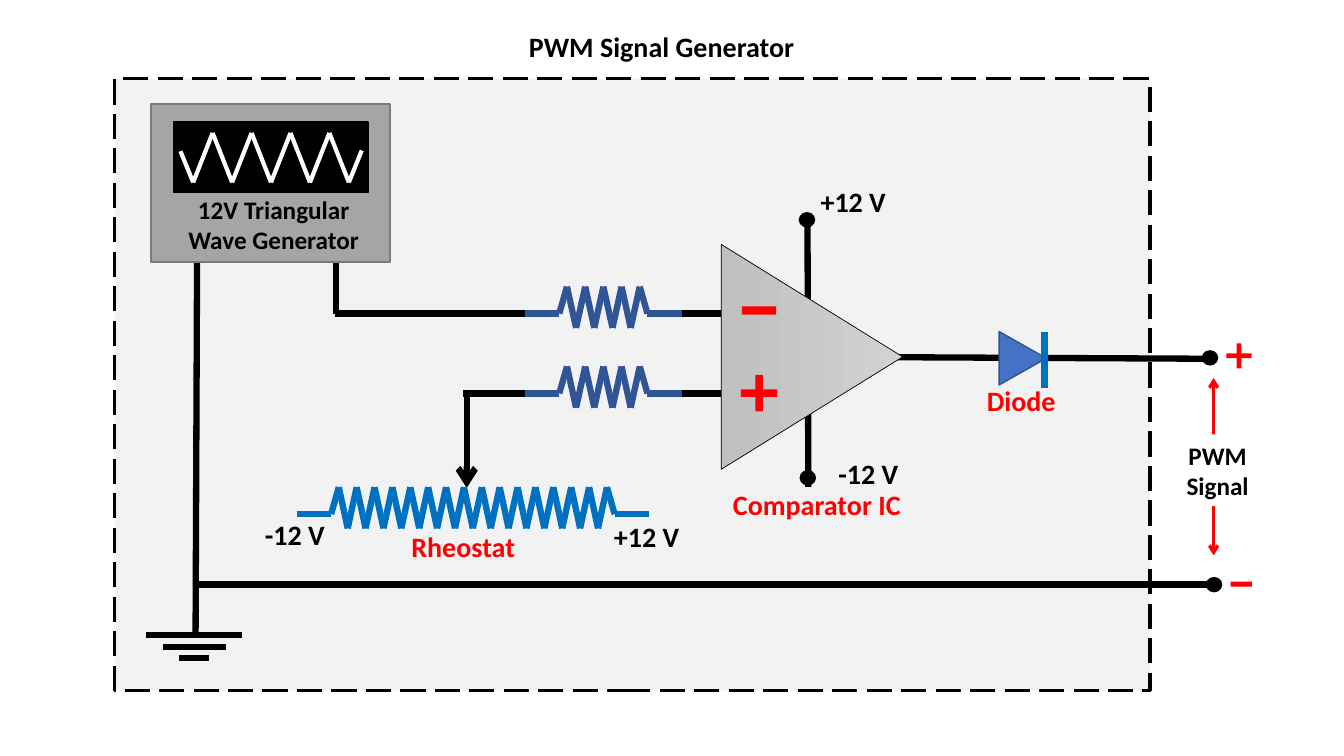
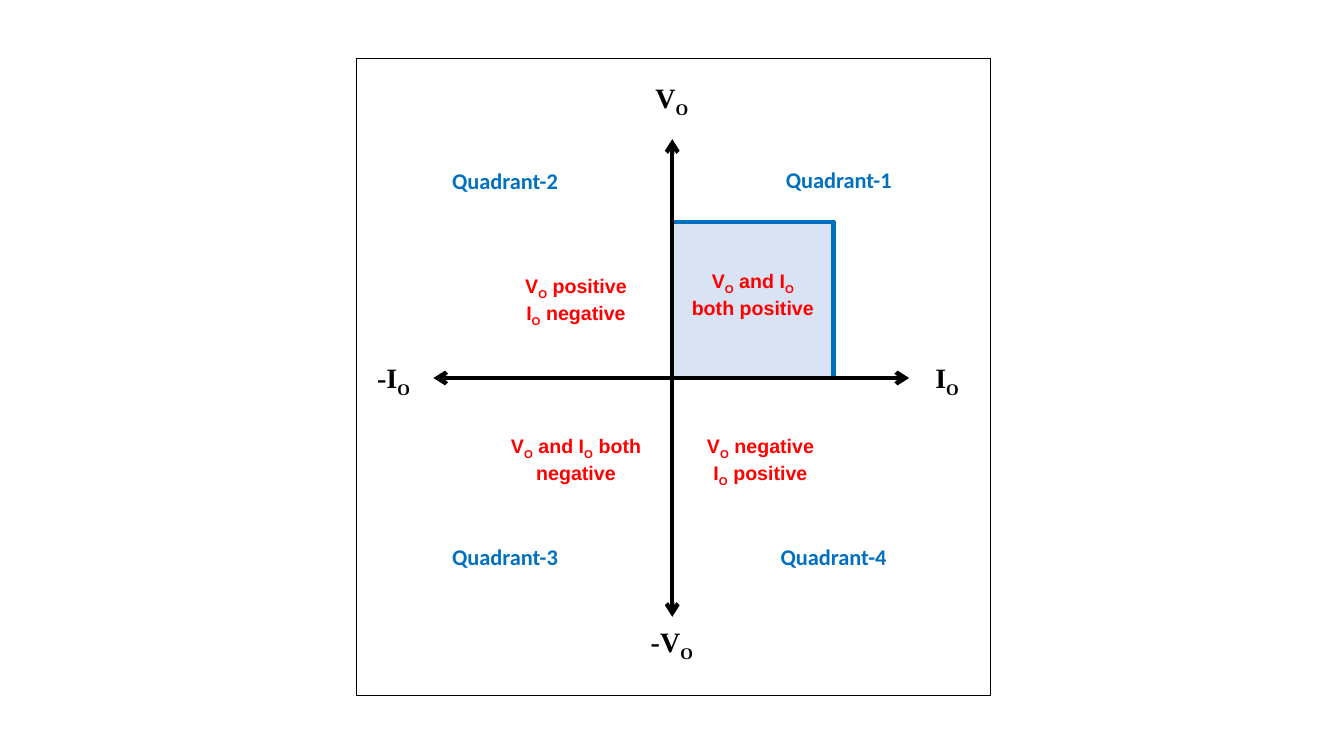
from itertools import pairwise
from lxml.etree import SubElement
from pptx import Presentation
from pptx.dml.color import RGBColor
from pptx.enum.dml import MSO_LINE
from pptx.enum.shapes import MSO_CONNECTOR, MSO_SHAPE
from pptx.enum.text import MSO_ANCHOR, MSO_AUTO_SIZE, PP_ALIGN
from pptx.oxml.ns import qn
from pptx.util import Pt

BLACK, WHITE, RED = "000000", "FFFFFF", "FF0000"
BLUE, RESISTOR_BLUE = "0070C0", "2F5597"
LABEL_FONT, AXIS_FONT, NOTE_FONT = "Calibri", "Times New Roman", "Arial"
WIRE, WAVE, AXIS, SPAN = 4.5, 3, 3, 2.25


def rgb(color):
    return RGBColor.from_string(color)


def write(frame, lines, size, color=BLACK, font=LABEL_FONT, anchor=MSO_ANCHOR.TOP):
    frame.word_wrap = True
    frame.auto_size = MSO_AUTO_SIZE.SHAPE_TO_FIT_TEXT
    frame.vertical_anchor = anchor
    for index, line in enumerate(lines.split("\n")):
        paragraph = frame.add_paragraph() if index else frame.paragraphs[0]
        paragraph.alignment = PP_ALIGN.CENTER
        for position, piece in enumerate(line.split("|")):
            if not piece:
                continue
            run = paragraph.add_run()
            run.text = piece
            run.font.name, run.font.size, run.font.bold = font, Pt(size), True
            run.font.color.rgb = rgb(color)
            if position % 2:
                run._r.get_or_add_rPr().set("baseline", "-25000")


def add_label(slide, lines, left, top, width, height, size=20, color=BLACK, font=LABEL_FONT):
    box = slide.shapes.add_textbox(Pt(left), Pt(top), Pt(width), Pt(height))
    write(box.text_frame, lines, size, color, font)


def add_title(slide, wording, left, top, width, height):
    title = slide.shapes.title
    title.left, title.top, title.width, title.height = Pt(left), Pt(top), Pt(width), Pt(height)
    write(title.text_frame, wording, 20)


def add_block(slide, left, top, width, height, fill=None, line=None, weight=1,
              kind=MSO_SHAPE.RECTANGLE, rotation=0):
    block = slide.shapes.add_shape(kind, Pt(left), Pt(top), Pt(width), Pt(height))
    block.shadow.inherit = False
    block.rotation = rotation
    if fill:
        block.fill.solid()
        block.fill.fore_color.rgb = rgb(fill)
    else:
        block.fill.background()
    if line:
        block.line.color.rgb = rgb(line)
        block.line.width = Pt(weight)
    else:
        block.line.fill.background()
    return block


def add_line(slide, start, end, color=BLACK, weight=WIRE, arrows=()):
    line = slide.shapes.add_connector(MSO_CONNECTOR.STRAIGHT, *map(Pt, start + end))
    line.line.color.rgb = rgb(color)
    line.line.width = Pt(weight)
    outline = line.line._get_or_add_ln()
    for arrow in arrows:
        SubElement(outline, qn(f"a:{arrow}End")).set("type", "arrow")
    SubElement(line._element.spPr, qn("a:effectLst"))


def add_path(slide, points, color=BLACK, weight=WIRE):
    for start, end in pairwise(points):
        add_line(slide, start, end, color, weight)


def add_coil(slide, left, y, peaks, pitch, color):
    lead, slope = 24.5, 5.5
    first = left + lead + slope
    last = first + (peaks - 1) * pitch
    teeth = [(first + step * pitch / 2, y + (10.2 if step % 2 else -19.2))
             for step in range(2 * peaks - 1)]
    add_path(slide, [(left, y), (left + lead, y), *teeth,
                     (last + slope, y), (last + slope + lead, y)], color)


def add_terminal(slide, x, y):
    add_block(slide, x - 5.4, y - 5, 10.8, 10, BLACK, BLACK, kind=MSO_SHAPE.OVAL)


def add_sign(slide, x, y, length, thickness, plus=False):
    add_block(slide, x - length / 2, y - thickness / 2, length, thickness, RED)
    if plus:
        add_block(slide, x - thickness / 2, y - length / 2, thickness, length, RED)


def add_comparator(slide):
    body = add_block(slide, 499.7, 190.1, 160.6, 129.6, WHITE, BLACK, 0.5,
                     MSO_SHAPE.ISOSCELES_TRIANGLE, 90)
    body.fill.gradient()
    body.fill.gradient_angle = 270
    for stop, color in zip(body.fill.gradient_stops, ("D2D2D2", "C0C0C0")):
        stop.color.rgb = rgb(color)
    add_sign(slide, 542.2, 280.8, 26, 5.4, plus=True)
    add_sign(slide, 542.2, 221.8, 24.5, 5.8)


def add_ground(slide):
    add_line(slide, (141, 128), (139.7, 453.6))
    for y, half in ((453.6, 34.2), (462.2, 22.7), (470.2, 10.8)):
        add_line(slide, (138.8 - half, y), (138.8 + half, y))


def add_wave_generator(slide):
    add_block(slide, 108, 74.2, 170.6, 113, "A5A5A5", "7A7A7A")
    add_block(slide, 123.8, 87.1, 139, 50.4, BLACK, BLACK)
    wave = [(138 + 13.9 * step, 95 if step % 2 else 130.3) for step in range(9)]
    add_path(slide, [(128.9, 108), *wave, (258.4, 107.5)], WHITE, WAVE)
    add_label(slide, "12V Triangular Wave Generator", 126, 135.4, 139, 51, 18)


def add_diode(slide):
    add_block(slide, 711.4, 239, 38.2, 33.8, "4472C4", "325491",
              kind=MSO_SHAPE.ISOSCELES_TRIANGLE, rotation=90)
    add_line(slide, (746, 237), (746, 277.2), BLUE)


def build_pwm_generator(slide):
    enclosure = add_block(slide, 82, 56.2, 739.5, 437, "F2F2F2", BLACK, 2.25)
    enclosure.line.dash_style = MSO_LINE.LONG_DASH
    add_line(slide, (576.8, 160), (577.4, 347.8))
    add_line(slide, (604, 255), (869, 256.3))
    for lead_start, y in ((239, 224), (330.5, 281)):
        add_line(slide, (lead_start, y), (386, y))
        add_line(slide, (485, y), (551, y))
        add_coil(slide, 375, y, 5, 13, RESISTOR_BLUE)
    add_comparator(slide)
    add_ground(slide)
    add_line(slide, (239.8, 155.5), (239.8, 224))
    add_wave_generator(slide)
    add_line(slide, (333.4, 280), (333.4, 348.5), arrows=["tail"])
    add_coil(slide, 212, 367.2, 16, 12.77, BLUE)
    add_diode(slide)
    add_line(slide, (138.2, 417.6), (869, 417.6))
    for x, y in ((576.4, 157), (577, 341.3), (864.3, 255.6), (867.2, 417.6)):
        add_terminal(slide, x, y)
    for wording, left, top, width, color in (
            ("-12 V", 180.7, 365.8, 59.8, BLACK),
            ("+12 V", 431.3, 367.2, 61.2, BLACK),
            ("-12 V", 586.8, 322.6, 67, BLACK),
            ("+12 V", 540, 128.2, 139, BLACK),
            ("Rheostat", 261.4, 374.4, 139, RED),
            ("Comparator IC", 514, 344.9, 139, RED),
            ("Diode", 692, 270.7, 75, RED)):
        add_label(slide, wording, left, top, width, 31.5, color=color)
    add_line(slide, (866.9, 396.7), (866.9, 270), RED, SPAN, ["head", "tail"])
    output = add_block(slide, 828, 310.3, 83.5, 51, WHITE)
    write(output.text_frame, "PWM Signal", 18, anchor=MSO_ANCHOR.MIDDLE)
    add_sign(slide, 885, 254.2, 18, 3.4, plus=True)
    add_sign(slide, 886.7, 417.2, 15.2, 3.6)
    add_title(slide, "PWM Signal Generator", 365, 17.3, 215.3, 31.5)


def build_quadrants(slide):
    add_block(slide, 480.2, 158.4, 115.2, 111.6, "DAE3F3", BLUE, 3)
    for start, end in (((480.2, 99.4), (480.2, 440.6)), ((309.6, 270), (649.4, 270))):
        add_line(slide, start, end, weight=AXIS, arrows=["head", "tail"])
    for number, left, top in ((1, 548, 115.2), (2, 309.6, 115.9),
                              (3, 309.6, 384.5), (4, 544.3, 384.5)):
        add_label(slide, f"Quadrant-{number}", left, top, 102.2, 26.6, 16, BLUE)
    for quantity, left, top in (("I|O|", 650.2, 254.2), ("-I|O|", 254.9, 254.2),
                                ("V|O|", 453.6, 54), ("-V|O|", 453.6, 442.8)):
        add_label(slide, quantity, left, top, 52.6, 31.5, 20, font=AXIS_FONT)
    for signs, left, top, width in (
            ("V|O| and I|O| both positive", 486.7, 188.6, 102.2),
            ("V|O| and I|O| both negative", 357.1, 306.7, 108.7),
            ("V|O| positive\nI|O| negative", 357.1, 192.2, 108.7),
            ("V|O| negative\nI|O| positive", 488.9, 306.7, 108.7)):
        add_label(slide, signs, left, top, width, 41, 14, RED, NOTE_FONT)
    add_block(slide, 254.9, 41.8, 452.9, 455, line=BLACK, weight=0.75)


def main():
    deck = Presentation()
    deck.slide_width, deck.slide_height = Pt(960), Pt(540)
    title_only, blank = deck.slide_layouts[5], deck.slide_layouts[6]
    build_pwm_generator(deck.slides.add_slide(title_only))
    build_quadrants(deck.slides.add_slide(blank))
    deck.save("out.pptx")


main()
